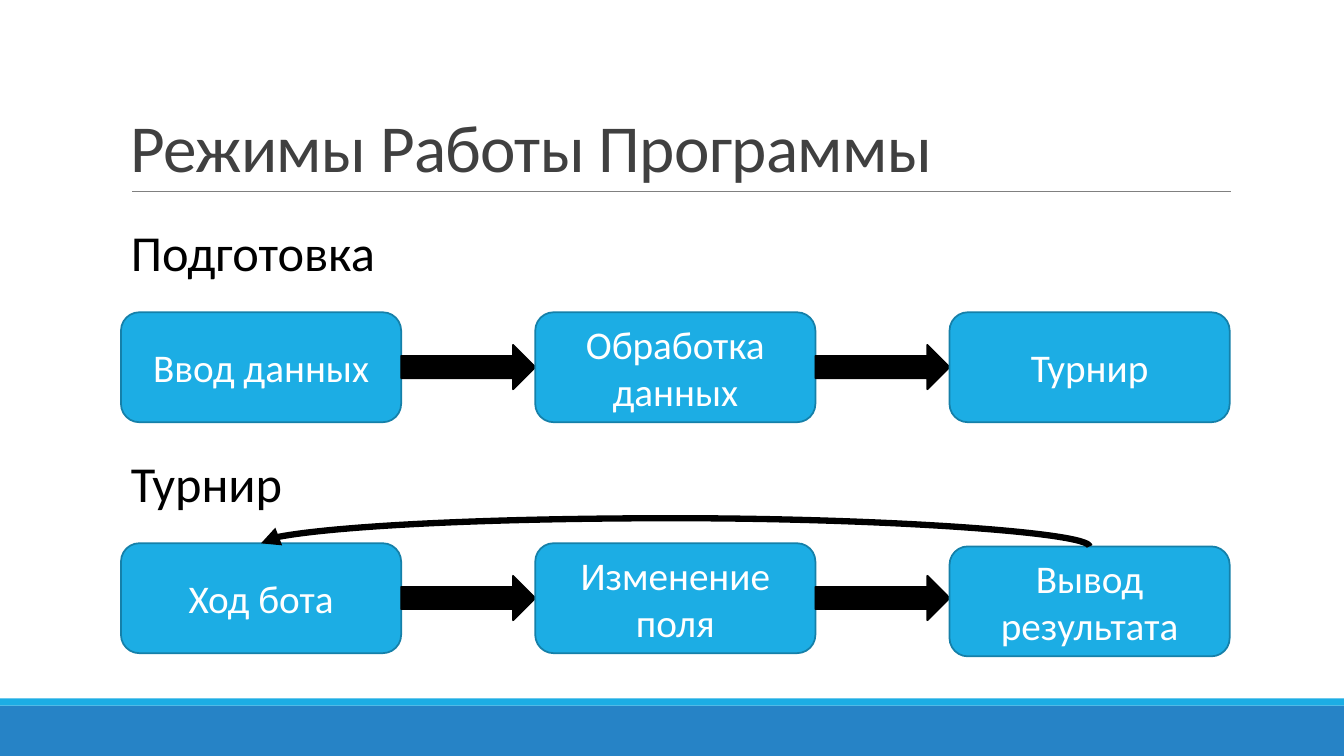
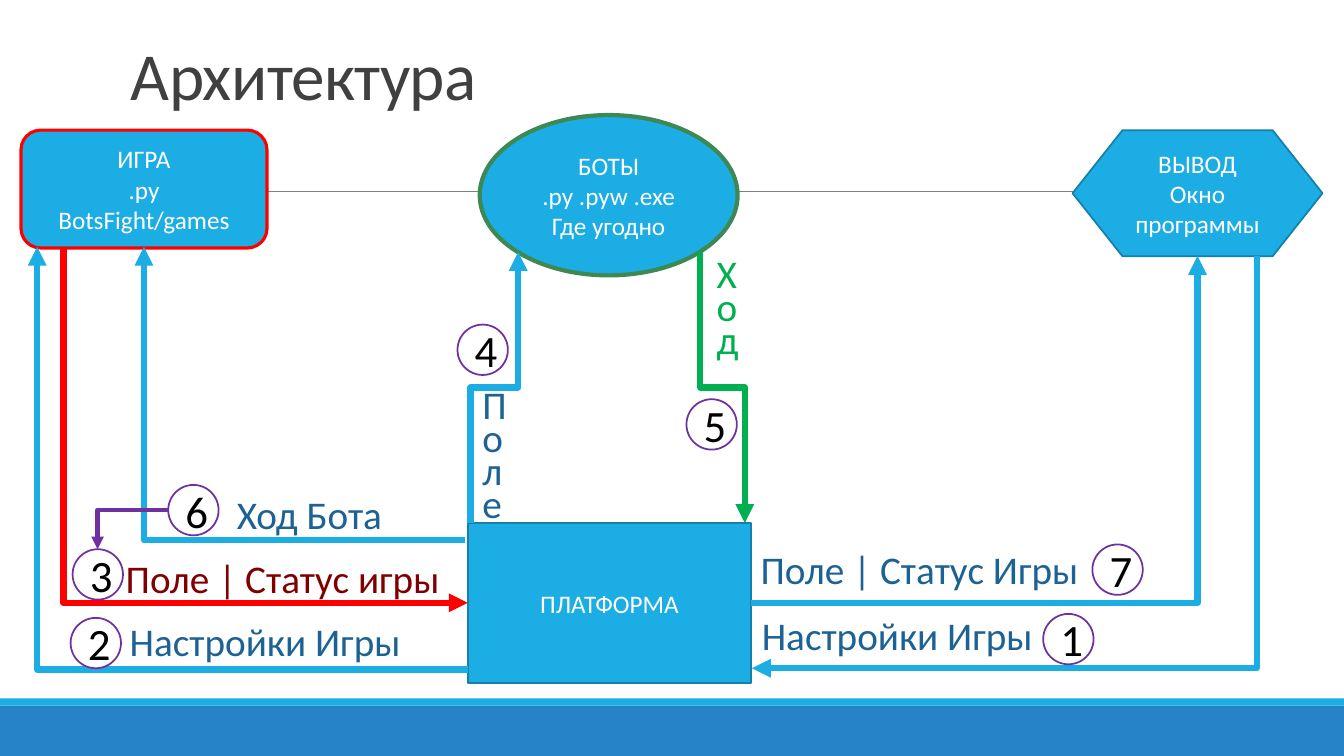
from dataclasses import dataclass

from lxml import etree
from pptx import Presentation
from pptx import util as u
from pptx.dml.color import RGBColor
from pptx.enum import shapes as s
from pptx.enum import text as t
from pptx.oxml import ns


@dataclass(frozen=True)
class Theme:
    font: str = "Calibri"
    white: str = "FFFFFF"
    black: str = "000000"
    sky: str = "1CADE4"
    edge: str = "1580A9"
    band: str = "2683C6"
    rule: str = "808080"
    head: str = "404040"
    navy: str = "1D6294"
    red: str = "FF0000"
    wine: str = "800000"
    green: str = "00B050"
    moss: str = "3E8853"
    plum: str = "7030A0"
    title: int = 48
    large: int = 36
    digit: int = 32
    body: int = 28
    small: int = 18


T = Theme()
Kind = s.MSO_SHAPE
Join = s.MSO_CONNECTOR


@dataclass(frozen=True)
class Node:
    x: float
    y: float
    w: float
    h: float
    text: str = ""
    kind: Kind = Kind.ROUNDED_RECTANGLE
    fill: str = T.sky
    edge: str | None = T.edge
    thick: float = 1.25
    size: int = T.body
    ink: str = T.white


@dataclass(frozen=True)
class Link:
    x1: float
    y1: float
    x2: float
    y2: float
    form: str = "bentConnector2"
    upright: bool = False
    bend: float | None = None
    color: str = T.sky
    thick: float = 4.5


@dataclass(frozen=True)
class Label:
    x: float
    y: float
    w: float
    text: str
    h: float = 1.45
    size: int = T.body
    color: str = T.navy
    pitch: float | None = None


def rgb(code: str) -> RGBColor:
    return RGBColor.from_string(code)


def write(shape, text: str, *, size: int, color: str, align=t.PP_ALIGN.LEFT,
          anchor=t.MSO_ANCHOR.TOP, pitch=None, track: int = 0) -> None:
    frame = shape.text_frame
    frame.word_wrap = True
    frame.vertical_anchor = anchor
    for i, line in enumerate(text.split("\n")):
        para = frame.add_paragraph() if i else frame.paragraphs[0]
        para.alignment = align
        if pitch:
            para.line_spacing = pitch
        run = para.add_run()
        run.text = line
        run.font.name = T.font
        run.font.size = u.Pt(size)
        run.font.color.rgb = rgb(color)
        if track:
            run.font._element.set("spc", str(track))


def draw(slide, node: Node) -> None:
    shape = slide.shapes.add_shape(
        node.kind, u.Cm(node.x), u.Cm(node.y), u.Cm(node.w), u.Cm(node.h))
    shape.shadow.inherit = False
    shape.fill.solid()
    shape.fill.fore_color.rgb = rgb(node.fill)
    if node.edge:
        shape.line.color.rgb = rgb(node.edge)
        shape.line.width = u.Pt(node.thick)
    else:
        shape.line.fill.background()
    if node.text:
        write(shape, node.text, size=node.size, color=node.ink,
              align=t.PP_ALIGN.CENTER, anchor=t.MSO_ANCHOR.MIDDLE)


def label(slide, item: Label) -> None:
    box = slide.shapes.add_textbox(
        u.Cm(item.x), u.Cm(item.y), u.Cm(item.w), u.Cm(item.h))
    write(box, item.text, size=item.size, color=item.color,
          pitch=u.Pt(item.pitch) if item.pitch else None)


def stroke(slide, kind: Join, ends: tuple[float, ...], color: str, thick: float):
    line = slide.shapes.add_connector(kind, *map(u.Cm, ends))
    line.line.color.rgb = rgb(color)
    line.line.width = u.Pt(thick)
    etree.SubElement(line._element.spPr, ns.qn("a:effectLst"))
    return line


def join(slide, link: Link) -> None:
    line = stroke(slide, Join.ELBOW, (link.x1, link.y1, link.x2, link.y2),
                  link.color, link.thick)
    props = line._element.spPr
    if link.upright:
        dx, dy = link.x2 - link.x1, link.y2 - link.y1
        w, h = abs(dy), abs(dx)
        line.left = u.Cm((link.x1 + link.x2 - w) / 2)
        line.top = u.Cm((link.y1 + link.y2 - h) / 2)
        line.width, line.height = u.Cm(w), u.Cm(h)
        frame = props.find(ns.qn("a:xfrm"))
        frame.set("rot", "5400000")
        frame.set("flipH", str(int(dy < 0)))
        frame.set("flipV", str(int(dx > 0)))
    shape = props.find(ns.qn("a:prstGeom"))
    shape.set("prst", link.form)
    if link.bend is not None:
        etree.SubElement(shape.find(ns.qn("a:avLst")), ns.qn("a:gd"),
                         name="adj1", fmla=f"val {round(link.bend * 100000)}")
    etree.SubElement(props.find(ns.qn("a:ln")), ns.qn("a:tailEnd"), type="triangle")


def start(deck, title: str, foot: float):
    slide = deck.slides.add_slide(deck.slide_layouts[6])
    draw(slide, Node(0, 17.78, 33.87, 1.27, kind=Kind.RECTANGLE, fill=T.band, edge=None))
    draw(slide, Node(0, 17.6, 33.87, 0.18, kind=Kind.RECTANGLE, edge=None))
    stroke(slide, Join.STRAIGHT, (3.33, 4.83, 31.01, 4.83), T.rule, 0.5)
    top = 0.79
    box = slide.shapes.add_textbox(u.Cm(3.05), u.Cm(top), u.Cm(27.94), u.Cm(foot - top))
    write(box, title, size=T.title, color=T.head, anchor=t.MSO_ANCHOR.BOTTOM,
          pitch=0.85, track=-50)
    return slide


def modes(deck) -> None:
    slide = start(deck, "Режимы Работы Программы", 4.83)
    left, step, wide, high = 3.05, 10.44, 7.06, 2.77
    rows = (
        ("Подготовка", 5.44, 7.87, ("Ввод данных", "Обработка данных", "Турнир"), 0),
        ("Турнир", 11.28, 13.69, ("Ход бота", "Изменение поля", "Вывод результата"), 0.08),
    )
    for name, head, top, steps, drop in rows:
        label(slide, Label(left, head, wide, name, h=1.8, size=T.large, color=T.black))
        for i, text in enumerate(steps):
            x = left + i * step
            last = i == len(steps) - 1
            draw(slide, Node(x, top + drop * last, wide, high, text))
            if not last:
                draw(slide, Node(x + wide, top + 0.82, step - wide, 1.12,
                                 kind=Kind.RIGHT_ARROW, fill=T.black, edge=T.black))
    mid = left + wide / 2
    join(slide, Link(mid + 2 * step, 13.77, mid, 13.69, "curvedConnector3",
                     upright=True, bend=8.9, color=T.black))


def scheme(deck) -> None:
    slide = start(deck, "Архитектура", 3)
    nodes = (
        Node(11.79, 13.18, 7.14, 4.04, "ПЛАТФОРМА", Kind.RECTANGLE, size=T.small),
        Node(12.09, 2.9, 6.5, 4.04, "БОТЫ\n.py .pyw .exe\nГде угодно", Kind.OVAL,
             edge=T.moss, thick=3, size=T.small),
        Node(0.53, 3.28, 6.2, 2.97, "ИГРА\n.py\nBotsFight/games",
             edge=T.red, thick=2.25, size=T.small),
        Node(27.03, 3.28, 6.3, 3.18, "ВЫВОД\nОкно программы",
             Kind.FLOWCHART_PREPARATION, size=T.small),
    )
    links = (
        Link(1.6, 6.22, 11.79, 15.19, upright=True, color=T.red),
        Link(11.79, 16.87, 0.94, 6.22),
        Link(11.86, 13.18, 13.06, 6.35, "bentConnector3", True, 0.5),
        Link(17.65, 6.35, 18.77, 13.18, "bentConnector3", True, 0.5, T.green),
        Link(18.92, 15.19, 30.18, 6.45),
        Link(31.67, 6.45, 18.95, 16.84, upright=True),
        Link(11.73, 13.61, 3.63, 6.22),
        Link(4.24, 12.85, 2.46, 13.84, color=T.plum, thick=3),
    )
    labels = (
        Label(3.02, 15.42, 7.37, "Настройки Игры"),
        Label(2.92, 13.84, 8.59, "Поле | Статус игры", color=T.wine),
        Label(11.91, 9.8, 1.27, "Поле", h=3.71, pitch=23.6),
        Label(17.81, 6.5, 0.99, "Ход", h=2.95, color=T.green, pitch=23.6),
        Label(18.92, 13.61, 8.61, "Поле | Статус Игры"),
        Label(18.95, 15.29, 8.1, "Настройки Игры"),
        Label(5.72, 12.24, 4.42, "Ход Бота"),
    )
    marks = ((26.29, 15.47), (1.78, 15.57), (1.83, 13.84), (11.53, 8.18),
             (17.3, 10.06), (4.24, 12.22), (27.53, 13.72))
    for node in nodes:
        draw(slide, node)
    for link in links:
        join(slide, link)
    for item in labels:
        label(slide, item)
    for i, (x, y) in enumerate(marks, 1):
        draw(slide, Node(x, y, 1.27, 1.27, str(i), Kind.OVAL, T.white, T.plum,
                         size=T.digit, ink=T.black))


def main() -> None:
    deck = Presentation()
    deck.slide_width, deck.slide_height = u.Cm(33.87), u.Cm(19.05)
    modes(deck)
    scheme(deck)
    deck.save("out.pptx")


if __name__ == "__main__":
    main()
